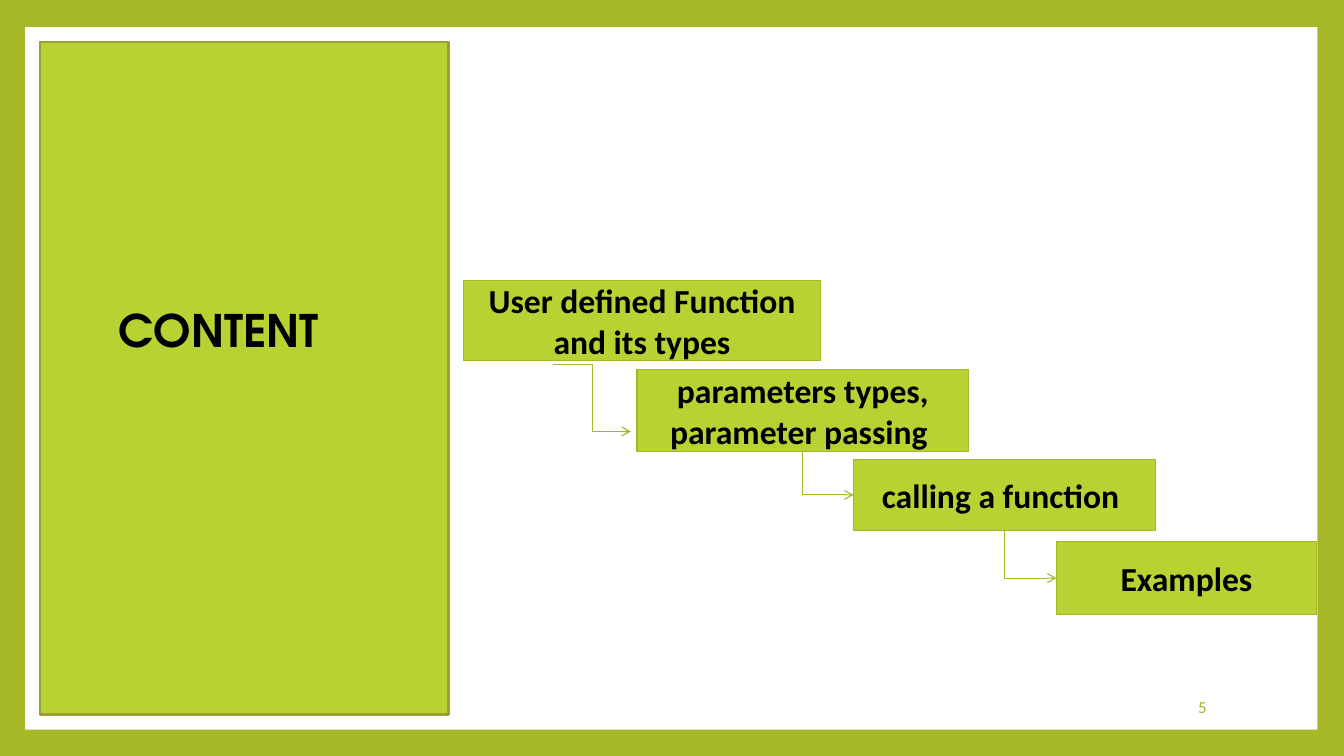
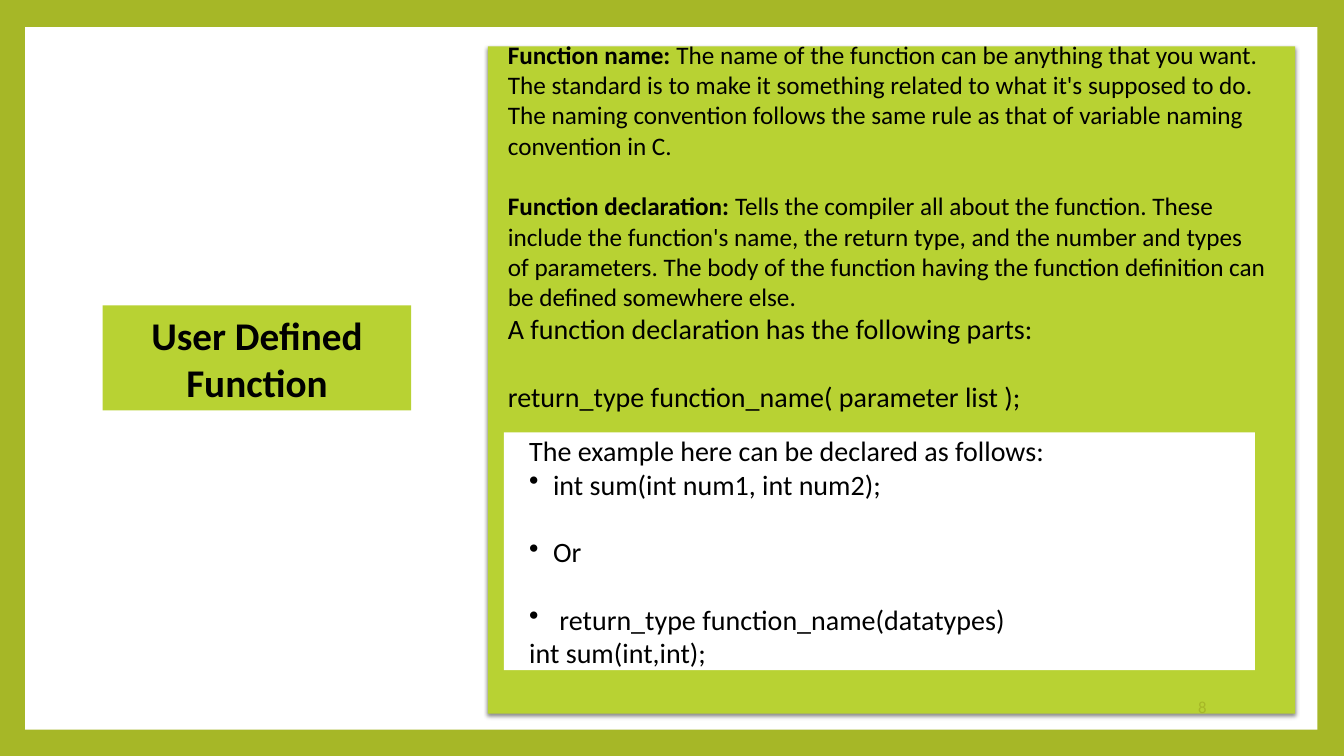
from dataclasses import dataclass
from itertools import pairwise

from lxml import etree
from pptx import Presentation
from pptx.dml.color import RGBColor
from pptx.enum import shapes, text
from pptx.oxml.ns import qn
from pptx.util import Pt

OLIVE = "A6B727"
LIME = "B8D233"
SIDEBAR_EDGE = "9F9D35"
BLACK = "000000"
WHITE = "FFFFFF"
BODY_FONT = "Calibri"
TITLE_FONT = "TeX Gyre Adventor"
LEFT, CENTER, RIGHT = text.PP_ALIGN.LEFT, text.PP_ALIGN.CENTER, text.PP_ALIGN.RIGHT
TOP, MIDDLE = text.MSO_ANCHOR.TOP, text.MSO_ANCHOR.MIDDLE


@dataclass
class Para:
    """A paragraph with an optional bold lead-in; hanging is the bullet indent."""
    words: str
    size: float
    lead: str = ""
    bold: bool = False
    align: int = LEFT
    color: str = BLACK
    font: str = BODY_FONT
    before: float = 0
    hanging: float = 0


def rgb(value):
    return RGBColor.from_string(value)


def add_child(parent, tag, **attributes):
    child = etree.SubElement(parent, qn(tag))
    for name, value in attributes.items():
        child.set(name, str(value))
    return child


def write(box, paras, anchor=MIDDLE, left_inset=None):
    frame = box.text_frame
    frame.word_wrap = True
    frame.vertical_anchor = anchor
    if left_inset is not None:
        frame.margin_left = Pt(left_inset)
        frame.margin_top = frame.margin_right = frame.margin_bottom = 0
    for index, item in enumerate(paras):
        para = frame.add_paragraph() if index else frame.paragraphs[0]
        para.alignment = item.align
        para.space_before = Pt(item.before)
        para.font.name = item.font
        para.font.size = Pt(item.size)
        para.font.bold = item.bold
        para.font.color.rgb = rgb(item.color)
        if item.lead:
            span = para.add_run()
            span.text = item.lead
            span.font.bold = True
        para.add_run().text = item.words
        if item.hanging:
            add_bullet(para, item.hanging)


def add_bullet(para, hanging):
    properties = para._p.get_or_add_pPr()
    properties.set("marL", str(Pt(hanging)))
    properties.set("indent", str(-Pt(hanging)))
    bullet = etree.Element(qn("a:buChar"), char="•")
    properties.find(qn("a:defRPr")).addprevious(bullet)


def add_rect(page, place, fill, line=None, width=0.79):
    box = page.shapes.add_shape(shapes.MSO_SHAPE.RECTANGLE, *map(Pt, place))
    box.shadow.inherit = False
    box.fill.solid()
    box.fill.fore_color.rgb = rgb(fill)
    if line:
        box.line.color.rgb = rgb(line)
        box.line.width = Pt(width)
    else:
        box.line.fill.background()
    return box


def add_text(page, place, paras, anchor=TOP):
    box = page.shapes.add_textbox(*map(Pt, place))
    write(box, paras, anchor)


def add_drop_shadow(box):
    effects = box._element.spPr.find(qn("a:effectLst"))
    shadow = add_child(effects, "a:outerShdw", blurRad=Pt(3), dist=Pt(2),
                       dir=90 * 60000, algn="ctr", rotWithShape=0)
    color = add_child(shadow, "a:srgbClr", val=BLACK)
    add_child(color, "a:alpha", val=45000)


def add_elbow(page, start, end):
    """Arrow that runs across, down and across."""
    connector = page.shapes.add_connector(
        shapes.MSO_CONNECTOR.ELBOW, *map(Pt, (*start, *end)))
    connector.line.color.rgb = rgb(OLIVE)
    connector.line.width = Pt(0.79)
    add_child(connector.line._get_or_add_ln(), "a:tailEnd", type="arrow")
    add_child(connector._element.spPr, "a:effectLst")
    return connector


def add_corner(page, start, end):
    """Arrow that runs down and then across: a mirrored bend on its side."""
    middle_x, middle_y = (start[0] + end[0]) / 2, (start[1] + end[1]) / 2
    half_x, half_y = (end[0] - start[0]) / 2, (end[1] - start[1]) / 2
    connector = add_elbow(page, (middle_x + half_y, middle_y - half_x),
                          (middle_x - half_y, middle_y + half_x))
    properties = connector._element.spPr
    properties.find(qn("a:xfrm")).set("rot", str(270 * 60000))
    properties.find(qn("a:prstGeom")).set("prst", "bentConnector2")


def add_page(deck):
    page = deck.slides.add_slide(deck.slide_layouts[6])
    page.background.fill.solid()
    page.background.fill.fore_color.rgb = rgb(OLIVE)
    add_rect(page, (18, 19.4, 923, 501.8), WHITE)
    return page


def add_number(page, number):
    add_text(page, (734.4, 490.3, 134.6, 28.8),
             [Para(number, 12, align=RIGHT, color=OLIVE)], MIDDLE)


def build_content(deck):
    page = add_page(deck)
    add_rect(page, (28.8, 30.2, 291.6, 480.2), LIME, SIDEBAR_EDGE, 1.5)
    add_text(page, (77.8, 212.4, 253.4, 85),
             [Para("CONTENT", 32, bold=True, font=TITLE_FONT)])
    steps = [
        ("User defined Function and its types", (331.2, 200.2, 254.9, 57.6)),
        ("parameters types, parameter passing ", (455, 264.2, 236.9, 58.3)),
        ("calling a function ", (609.8, 328.3, 215.3, 50.4)),
        ("Examples", (754.6, 386.6, 185.8, 52.6)),
    ]
    for words, place in steps:
        box = add_rect(page, place, LIME, OLIVE)
        write(box, [Para(words, 24, bold=True, align=CENTER)])
    add_elbow(page, (395.3, 260.6), (450.7, 308.2))
    places = [place for _, place in steps[1:]]
    for (x, y, width, height), following in pairwise(places):
        add_corner(page, (x + width / 2, y + height),
                   (following[0], following[1] + following[3] / 2))
    add_number(page, "5")


def build_user_defined(deck):
    page = add_page(deck)
    add_drop_shadow(add_rect(page, (348.5, 33.1, 576.7, 476.6), LIME))
    title = add_rect(page, (73.4, 218.2, 220.3, 74.9), LIME)
    write(title, [Para(words, 28, bold=True, align=CENTER)
                  for words in ("User Defined", "Function")])
    add_number(page, "8")
    add_text(page, (355.7, 24.5, 555.8, 276.5), [
        Para("The name of the function can be anything that you want. The "
             "standard is to make it something related to what it's supposed "
             "to do. The naming convention follows the same rule as that of "
             "variable naming convention in C.", 18, lead="Function name: "),
        Para("Tells the compiler all about the function. These include the "
             "function's name, the return type, and the number and types of "
             "parameters. The body of the function having the function "
             "definition can be defined somewhere else.", 18,
             lead="Function declaration: ", before=21.8),
        Para("A function declaration has the following parts:", 20),
        Para("return_type function_name( parameter list );", 20, before=24.2),
    ])
    example = add_rect(page, (360, 308.9, 536.4, 169.9), WHITE)
    write(example, [
        Para("The example here can be declared as follows:", 20),
        Para("int sum(int num1, int num2);", 20, hanging=17),
        Para("Or", 20, before=24.2, hanging=17),
        Para("return_type function_name(datatypes)", 20, before=24.2, hanging=21.6),
        Para("int sum(int,int);", 20),
    ], left_inset=18)


def main():
    deck = Presentation()
    deck.slide_width, deck.slide_height = Pt(960), Pt(540)
    build_content(deck)
    build_user_defined(deck)
    deck.save("out.pptx")


if __name__ == "__main__":
    main()
